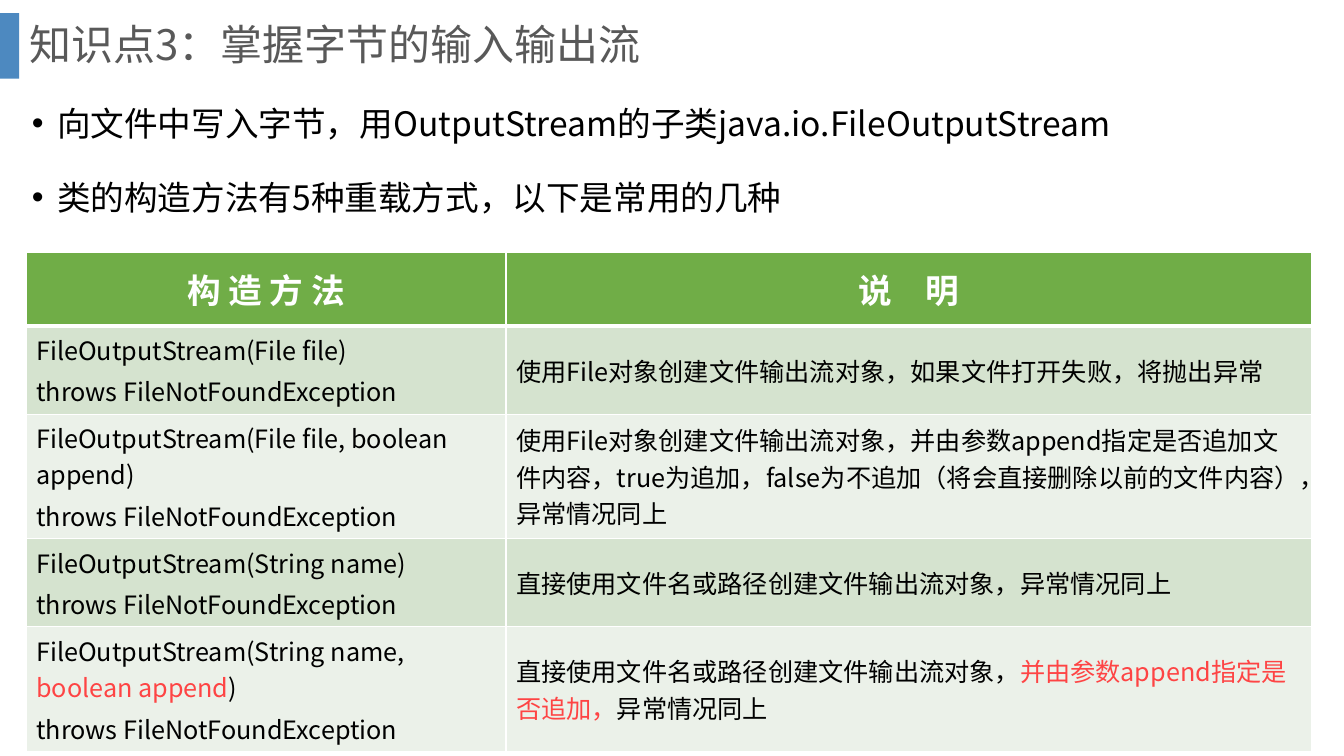
from dataclasses import dataclass
from typing import Any, NamedTuple

from lxml import etree
from pptx import Presentation
from pptx.dml.color import RGBColor
from pptx.enum.shapes import MSO_SHAPE
from pptx.enum.text import MSO_ANCHOR, MSO_AUTO_SIZE, PP_ALIGN
from pptx.oxml.ns import qn
from pptx.util import Pt

LEFT, CENTER = PP_ALIGN.LEFT, PP_ALIGN.CENTER
TOP, MIDDLE = MSO_ANCHOR.TOP, MSO_ANCHOR.MIDDLE
NO_FIT = MSO_AUTO_SIZE.NONE
RECTANGLE = MSO_SHAPE.RECTANGLE
TITLE_ONLY = 5


@dataclass(frozen=True)
class Theme:
    font: str = "Noto Sans CJK SC"
    title_size: float = 30
    body_size: float = 24
    cell_size: float = 18
    title_color: str = "595959"
    text_color: str = "000000"
    accent_color: str = "FE4444"
    bar_color: str = "2E75B6"
    bar_alpha: int = 85
    border_color: str = "FFFFFF"
    header_fill: str = "70AD47"
    band_fills: tuple[str, str] = ("D5E3CF", "EBF1E9")


THEME = Theme()


class Box(NamedTuple):
    left: float
    top: float
    width: float
    height: float


class Span(NamedTuple):
    text: str
    color: str = THEME.text_color


class Constructor(NamedTuple):
    signature: list[Span]
    description: list[Span]


class TextStyle(NamedTuple):
    size: float
    bold: bool
    paragraph: dict[str, Any]


BAR = Box(0, 9.4, 13.7, 46.8)
TITLE = Box(13.7, 0, 911.5, 67)
BODY = Box(15.8, 55.4, 928.8, 429.1)
TABLE = Box(18.7, 180.3, 918, 313.9)
COLUMN_WIDTHS = (342.7, 575.3)
HEADER_HEIGHT, ROW_HEIGHT = 52.6, 40.5
THIN, THICK = 1, 3
BULLET_INDENT = 18

TITLE_STYLE = TextStyle(THEME.title_size, False, {"alignment": LEFT, "line_spacing": 0.9})
BODY_STYLE = TextStyle(
    THEME.body_size, False, {"alignment": LEFT, "line_spacing": 1.5, "space_before": Pt(10)}
)
HEADER_STYLE = TextStyle(
    THEME.body_size, True, {"alignment": CENTER, "space_before": Pt(0.2 * THEME.body_size)}
)
CELL_STYLE = TextStyle(
    THEME.cell_size, False, {"alignment": LEFT, "space_before": Pt(0.2 * THEME.cell_size)}
)

HEADING = "知识点3：掌握字节的输入输出流"
POINTS = (
    "向文件中写入字节，用OutputStream的子类java.io.FileOutputStream",
    "类的构造方法有5种重载方式，以下是常用的几种",
)
HEADERS = ("构 造 方 法", "说　明")
THROWS = "throws FileNotFoundException"
CONSTRUCTORS = (
    Constructor(
        [Span("FileOutputStream(File file)")],
        [Span("使用File对象创建文件输出流对象，如果文件打开失败，将抛出异常")],
    ),
    Constructor(
        [Span("FileOutputStream(File file, boolean append)")],
        [Span("使用File对象创建文件输出流对象，并由参数append指定是否追加文件内容，"
              "true为追加，false为不追加（将会直接删除以前的文件内容），异常情况同上")],
    ),
    Constructor(
        [Span("FileOutputStream(String name)")],
        [Span("直接使用文件名或路径创建文件输出流对象，异常情况同上")],
    ),
    Constructor(
        [Span("FileOutputStream(String name, "),
         Span("boolean append", THEME.accent_color), Span(")")],
        [Span("直接使用文件名或路径创建文件输出流对象，"),
         Span("并由参数append指定是否追加，", THEME.accent_color), Span("异常情况同上")],
    ),
)


def apply(target: Any, values: dict[str, Any]) -> None:
    for name, value in values.items():
        setattr(target, name, value)


def place(box: Box) -> dict[str, Any]:
    return {name: Pt(value) for name, value in box._asdict().items()}


def write(frame: Any, paragraphs: list[list[Span]], style: TextStyle) -> None:
    for index, spans in enumerate(paragraphs):
        paragraph = frame.add_paragraph() if index else frame.paragraphs[0]
        apply(paragraph, style.paragraph)
        for span in spans:
            run = paragraph.add_run()
            run.text = span.text
            apply(run.font, {"name": THEME.font, "size": Pt(style.size), "bold": style.bold})
            run.font.color.rgb = RGBColor.from_string(span.color)
            east_asian = etree.SubElement(run.font._element, qn("a:ea"))
            east_asian.set("typeface", THEME.font)


def add_bullet(paragraph: Any) -> None:
    properties = paragraph._p.get_or_add_pPr()
    properties.set("marL", str(Pt(BULLET_INDENT)))
    properties.set("indent", str(-Pt(BULLET_INDENT)))
    etree.SubElement(properties, qn("a:buFont")).set("typeface", "Arial")
    etree.SubElement(properties, qn("a:buChar")).set("char", "•")


def set_borders(cell: Any, widths: dict[str, float]) -> None:
    properties = cell._tc.get_or_add_tcPr()
    for side, width in widths.items():
        line = etree.SubElement(properties, qn(f"a:ln{side}"))
        line.set("w", str(Pt(width)))
        fill = etree.SubElement(line, qn("a:solidFill"))
        etree.SubElement(fill, qn("a:srgbClr")).set("val", THEME.border_color)


def fill_cell(cell: Any, paragraphs: list[list[Span]], style: TextStyle, fill: str,
              top: float, bottom: float) -> None:
    set_borders(cell, {"L": THIN, "R": THIN, "T": top, "B": bottom})
    cell.fill.solid()
    cell.fill.fore_color.rgb = RGBColor.from_string(fill)
    cell.vertical_anchor = MIDDLE
    write(cell.text_frame, paragraphs, style)


def add_bar(slide: Any) -> None:
    bar = slide.shapes.add_shape(RECTANGLE, *map(Pt, BAR))
    bar.shadow.inherit = False
    bar.line.fill.background()
    bar.fill.solid()
    bar.fill.fore_color.rgb = RGBColor.from_string(THEME.bar_color)
    color = bar._element.spPr.find(f"{qn('a:solidFill')}/{qn('a:srgbClr')}")
    etree.SubElement(color, qn("a:alpha")).set("val", str(THEME.bar_alpha * 1000))


def add_title(slide: Any) -> None:
    title = slide.shapes.title
    apply(title, place(TITLE))
    apply(title.text_frame,
          {"word_wrap": True, "auto_size": NO_FIT, "vertical_anchor": MIDDLE})
    write(title.text_frame, [[Span(HEADING, THEME.title_color)]], TITLE_STYLE)


def add_points(slide: Any) -> None:
    frame = slide.shapes.add_textbox(*map(Pt, BODY)).text_frame
    apply(frame, {"word_wrap": True, "auto_size": NO_FIT, "vertical_anchor": TOP})
    write(frame, [[Span(point)] for point in POINTS], BODY_STYLE)
    for paragraph in frame.paragraphs:
        add_bullet(paragraph)


def add_constructors(slide: Any) -> None:
    table = slide.shapes.add_table(
        len(CONSTRUCTORS) + 1, len(HEADERS), *map(Pt, TABLE)).table
    for column, width in zip(table.columns, COLUMN_WIDTHS):
        column.width = Pt(width)
    for index, row in enumerate(table.rows):
        row.height = Pt(ROW_HEIGHT if index else HEADER_HEIGHT)
    for column, header in enumerate(HEADERS):
        fill_cell(table.cell(0, column), [[Span(header, THEME.border_color)]],
                  HEADER_STYLE, THEME.header_fill, THIN, THICK)
    for index, constructor in enumerate(CONSTRUCTORS):
        contents = ([constructor.signature, [Span(THROWS)]], [constructor.description])
        for column, paragraphs in enumerate(contents):
            fill_cell(table.cell(index + 1, column), paragraphs, CELL_STYLE,
                      THEME.band_fills[index % 2], THIN if index else THICK, THIN)


def main() -> None:
    deck = Presentation()
    apply(deck, {"slide_width": Pt(960), "slide_height": Pt(540)})
    slide = deck.slides.add_slide(deck.slide_layouts[TITLE_ONLY])
    for add_part in (add_bar, add_title, add_points, add_constructors):
        add_part(slide)
    deck.save("out.pptx")


if __name__ == "__main__":
    main()
